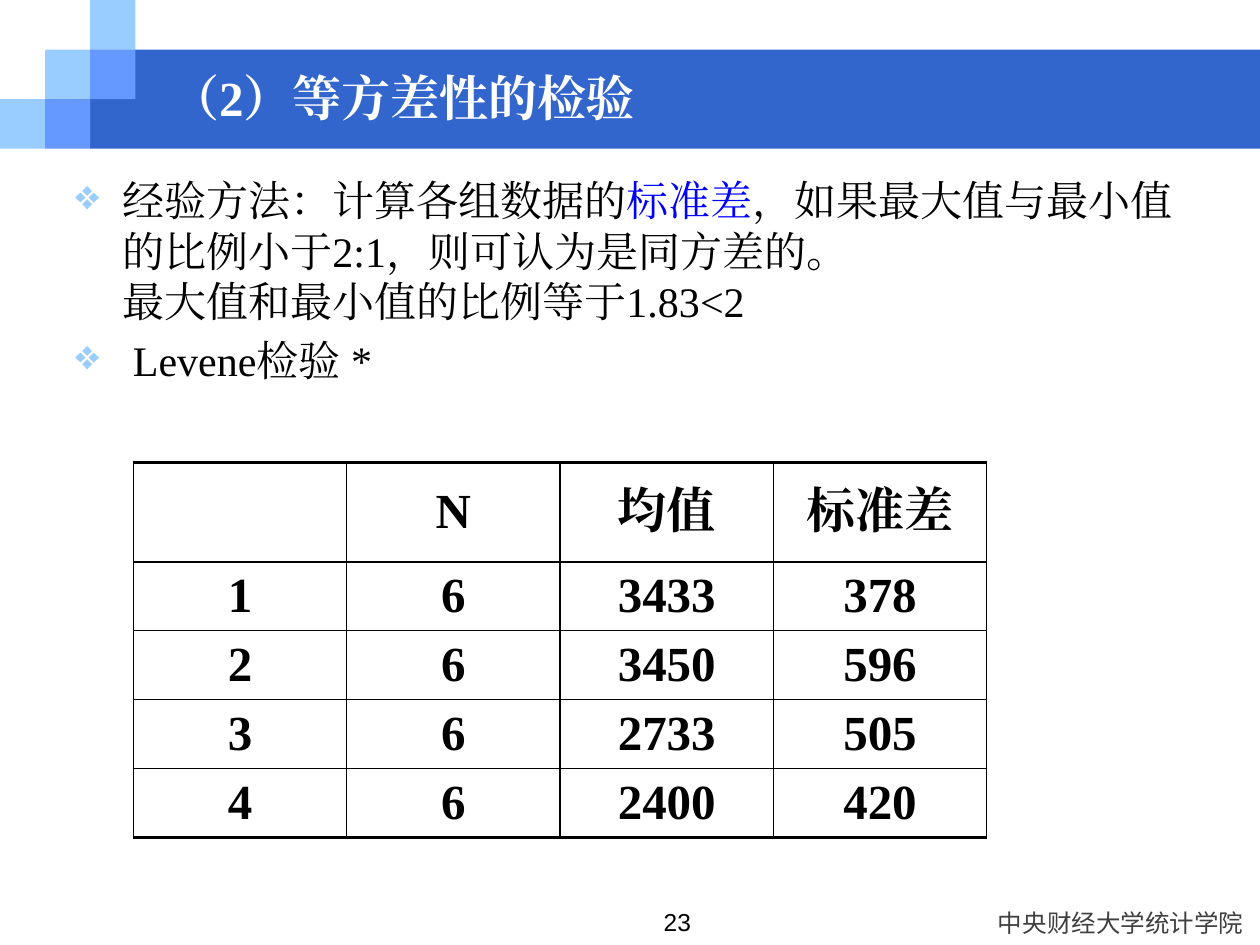
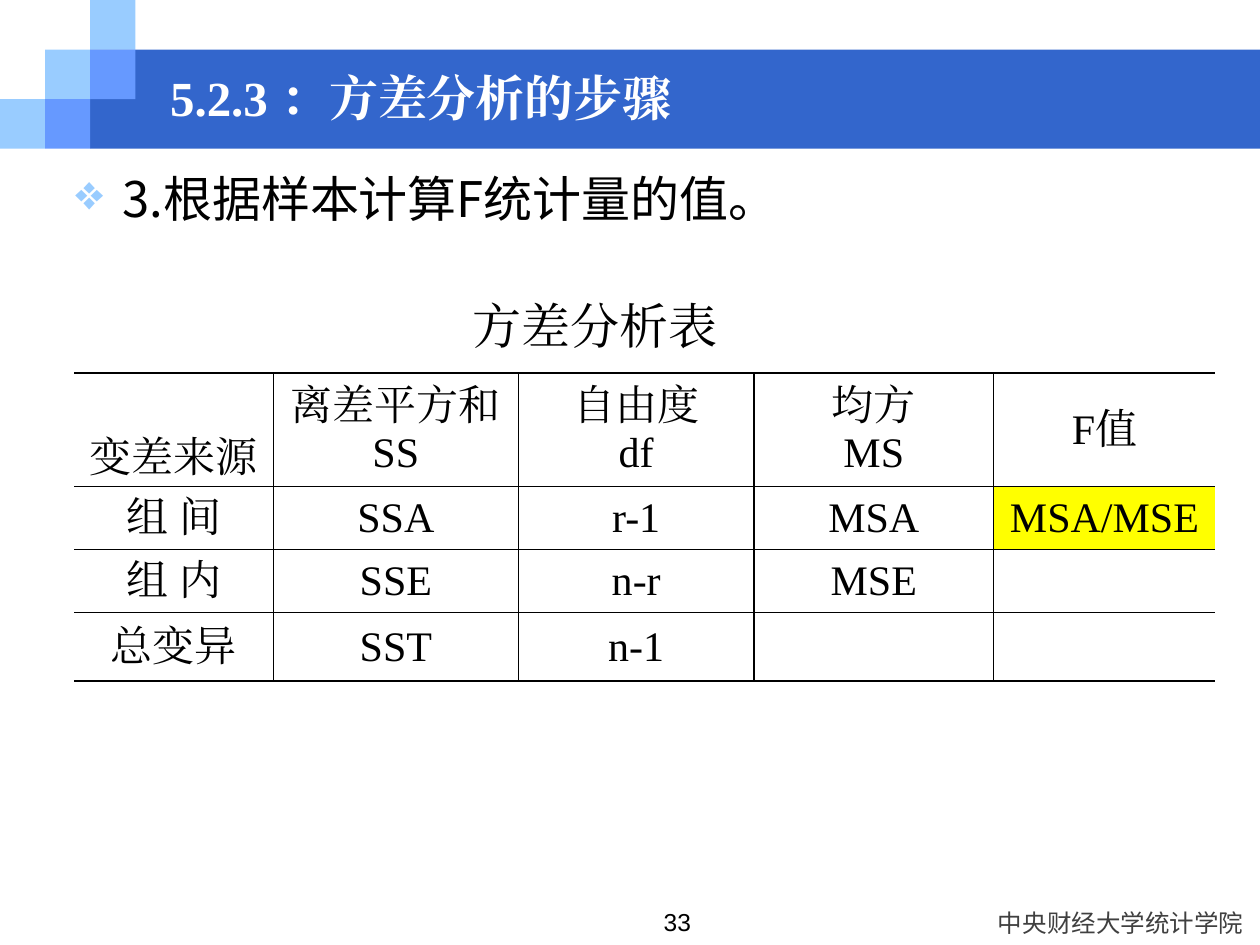
from lxml import etree
from pptx import Presentation
from pptx.dml.color import RGBColor
from pptx.enum.shapes import MSO_SHAPE
from pptx.enum.text import MSO_ANCHOR, PP_ALIGN
from pptx.oxml.ns import qn
from pptx.util import Cm, Pt

RECTANGLE = MSO_SHAPE.RECTANGLE
LEFT, CENTER, RIGHT = PP_ALIGN.LEFT, PP_ALIGN.CENTER, PP_ALIGN.RIGHT
TOP, MIDDLE, BOTTOM = MSO_ANCHOR.TOP, MSO_ANCHOR.MIDDLE, MSO_ANCHOR.BOTTOM

SERIF, SANS, CHINESE = "Times New Roman", "Arial", "Noto Sans CJK SC"
BLACK, WHITE, GREY, ACCENT = "000000", "FFFFFF", "404040", "0000FF"
BAND, PALE, MID, MARK = "3366CC", "99CCFF", "6699FF", "FFFF00"
SQUARE_WIDTH, SQUARE_HEIGHT = 0.91, 1.0


def paint(fill, color):
    fill.solid()
    fill.fore_color.rgb = RGBColor.from_string(color)


def write(frame, text, size=24, font=SERIF, color=BLACK, bold=False, align=LEFT,
          anchor=TOP, wrap=True, bullet=False, spacing=None, accent=None):
    """Fill a frame: a newline starts a paragraph, a vertical tab breaks a line."""
    frame.word_wrap = wrap
    frame.vertical_anchor = anchor
    for number, line in enumerate(text.split("\n")):
        para = frame.paragraphs[0] if number == 0 else frame.add_paragraph()
        para.alignment = align
        if spacing:
            para.line_spacing = spacing
        if number and bullet:
            para.space_before = Pt(size * 0.2)
        if bullet:
            properties = para._p.get_or_add_pPr()
            properties.set("marL", str(Cm(0.95)))
            properties.set("indent", str(-Cm(0.95)))
            tint = etree.SubElement(properties, qn("a:buClr"))
            etree.SubElement(tint, qn("a:srgbClr"), val=PALE)
            etree.SubElement(properties, qn("a:buChar"), char="❖")
        pieces = line.partition(accent) if accent else [line]
        for piece in filter(None, pieces):
            for part_number, part in enumerate(piece.split("\v")):
                if part_number:
                    para.add_line_break()
                span = para.add_run()
                span.text = part
                span.font.size = Pt(size)
                span.font.name = font
                span.font.bold = bold
                shade = ACCENT if piece == accent else color
                span.font.color.rgb = RGBColor.from_string(shade)
                east_asian = etree.SubElement(span._r.get_or_add_rPr(), qn("a:ea"))
                east_asian.set("typeface", font)


# Content of the two pages
pages = [
    dict(
        title="（2）等方差性的检验",
        body="经验方法：计算各组数据的标准差，如果最大值与最小值的比例小于2:1，"
             "则可认为是同方差的。\v最大值和最小值的比例等于1.83<2\n Levene检验 *",
        body_format=dict(accent="标准差"),
        number="23",
        caption=None,
        place=(2.69, 9.32),
        columns=[4.3] * 4,
        rows=[2.01] + [1.35] * 4,
        cells=[["", "N", "均值", "标准差"],
               ["1", "6", "3433", "378"],
               ["2", "6", "3450", "596"],
               ["3", "6", "2733", "505"],
               ["4", "6", "2400", "420"]],
        cell_format=dict(size=28, bold=True),
        row_lines=[2, 1, 0.75, 0.75, 0.75, 2],
        column_lines=[0.75] * 5,
        low_cell=None,
        marked=None,
    ),
    dict(
        title="5.2.3 ：方差分析的步骤",
        body="3.根据样本计算F统计量的值。",
        body_format=dict(size=28, font=CHINESE, spacing=0.9),
        number="33",
        caption="方差分析表",
        place=(1.5, 7.52),
        columns=[4.01, 4.94, 4.75, 4.83, 4.47],
        rows=[2.29, 1.27, 1.27, 1.38],
        cells=[["变差来源", "离差平方和\nSS", "自由度\ndf", "均方\nMS", "F值"],
               ["组 间", "SSA", "r-1", "MSA", "MSA/MSE"],
               ["组 内", "SSE", "n-r", "MSE", ""],
               ["总变异", "SST", "n-1", "", ""]],
        cell_format=dict(size=24),
        row_lines=[1] * 5,
        column_lines=[0, 1, 1, 1, 1, 0],
        low_cell="变差来源",
        marked="MSA/MSE",
    ),
]

# Title band, then the stair of squares: column, row, colour
blocks = [(1.82, 1.0, 23.58, 2.0, BAND)]
for column, row, color in [(0, 2, PALE), (1, 1, PALE), (2, 0, PALE),
                           (2, 1, MID), (1, 2, MID)]:
    blocks.append((column * SQUARE_WIDTH, row * SQUARE_HEIGHT,
                   SQUARE_WIDTH, SQUARE_HEIGHT, color))

deck = Presentation()
deck.slide_width, deck.slide_height = Cm(25.4), Cm(19.05)

for content in pages:
    page = deck.slides.add_slide(deck.slide_layouts[6])

    for *place, color in blocks:
        block = page.shapes.add_shape(RECTANGLE, *map(Cm, place))
        block.shadow.inherit = False
        block.line.fill.background()
        paint(block.fill, color)

    # Footer, title, body, page number and table caption
    texts = [
        ("中央财经大学统计学院", (19.84, 18.19, 5.51, 0.86),
         dict(size=14, font=CHINESE, color=GREY, align=CENTER, wrap=False)),
        (content["title"], (3.18, 1.27, 20.52, 1.35),
         dict(size=28, color=WHITE, bold=True, anchor=MIDDLE)),
        (content["body"], (1.27, 3.4, 22.86, 14.58),
         dict(bullet=True, **content["body_format"])),
        (content["number"], (8.26, 18.16, 5.92, 0.89),
         dict(size=14, font=SANS, align=RIGHT)),
    ]
    if content["caption"]:
        texts.append((content["caption"], (7.9, 5.82, 8.18, 1.45),
                      dict(size=28, align=CENTER, anchor=MIDDLE)))
    for text, place, text_format in texts:
        box = page.shapes.add_textbox(*map(Cm, place))
        write(box.text_frame, text, **text_format)

    # Table
    columns, rows = content["columns"], content["rows"]
    table = page.shapes.add_table(
        len(rows), len(columns), *map(Cm, content["place"]),
        Cm(sum(columns)), Cm(sum(rows))).table
    table.first_row = table.horz_banding = False
    for index, width in enumerate(columns):
        table.columns[index].width = Cm(width)
    for index, height in enumerate(rows):
        table.rows[index].height = Cm(height)

    row_lines, column_lines = content["row_lines"], content["column_lines"]
    for row, texts_in_row in enumerate(content["cells"]):
        for column, text in enumerate(texts_in_row):
            cell = table.cell(row, column)
            cell.margin_top = cell.margin_bottom = Cm(0.1)
            write(cell.text_frame, text, align=CENTER, **content["cell_format"])
            cell.vertical_anchor = BOTTOM if text == content["low_cell"] else MIDDLE
            if text == content["marked"]:
                paint(cell.fill, MARK)
            else:
                cell.fill.background()

            # Cell borders come before the fill
            borders = [("a:lnL", column_lines[column]), ("a:lnR", column_lines[column + 1]),
                       ("a:lnT", row_lines[row]), ("a:lnB", row_lines[row + 1])]
            properties = cell._tc.get_or_add_tcPr()
            for position, (side, weight) in enumerate(borders):
                border = etree.Element(qn(side), w=str(Pt(weight)))
                if weight:
                    stroke = etree.SubElement(border, qn("a:solidFill"))
                    etree.SubElement(stroke, qn("a:srgbClr"), val=BLACK)
                else:
                    etree.SubElement(border, qn("a:noFill"))
                properties.insert(position, border)

deck.save("out.pptx")
